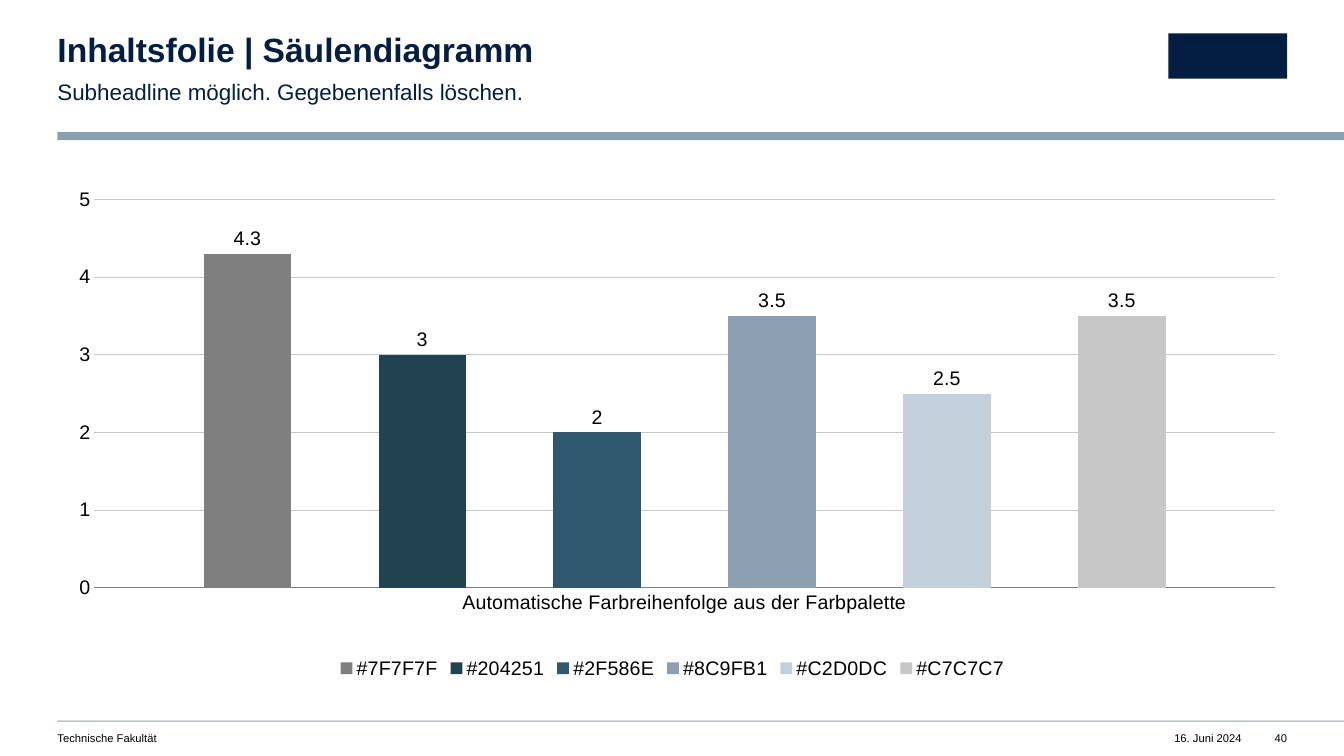
from dataclasses import dataclass

from lxml import etree
from pptx import Presentation
from pptx.chart.data import CategoryChartData
from pptx.dml.color import RGBColor
from pptx.enum.chart import (XL_CHART_TYPE, XL_LABEL_POSITION, XL_LEGEND_POSITION,
                             XL_TICK_MARK)
from pptx.enum.shapes import MSO_SHAPE
from pptx.enum.text import MSO_ANCHOR, MSO_AUTO_SIZE, PP_ALIGN
from pptx.oxml.ns import qn
from pptx.util import Inches, Pt

CLUSTERED = XL_CHART_TYPE.COLUMN_CLUSTERED
OUTSIDE_END = XL_LABEL_POSITION.OUTSIDE_END
LEGEND_BOTTOM = XL_LEGEND_POSITION.BOTTOM
NO_TICK = XL_TICK_MARK.NONE
RECTANGLE = MSO_SHAPE.RECTANGLE
TOP = MSO_ANCHOR.TOP
NO_AUTOFIT = MSO_AUTO_SIZE.NONE
LEFT, RIGHT = PP_ALIGN.LEFT, PP_ALIGN.RIGHT

NAVY = RGBColor(0x04, 0x1E, 0x42)
STEEL = RGBColor(0x8C, 0x9F, 0xB1)
GREY = RGBColor(0x7F, 0x7F, 0x7F)
PETROL = RGBColor(0x20, 0x42, 0x51)
BLUE = RGBColor(0x2F, 0x58, 0x6E)
ICE = RGBColor(0xC2, 0xD0, 0xDC)
SILVER = RGBColor(0xC7, 0xC7, 0xC7)
BLACK = RGBColor(0, 0, 0)

FONT = "Arial"
COLUMN = ROW = Inches(0.1)
COLUMNS, ROWS = 133.33, 75
MARGIN = 5.7
CONTENT = 122
RIGHT_EDGE = MARGIN + CONTENT


@dataclass(frozen=True)
class Box:
    col: float
    row: float
    cols: float
    rows: float

    def emu(self) -> tuple[int, int, int, int]:
        return (int(self.col * COLUMN), int(self.row * ROW),
                int(self.cols * COLUMN), int(self.rows * ROW))


@dataclass(frozen=True)
class Block:
    box: Box
    color: RGBColor


@dataclass(frozen=True)
class Label:
    text: str
    box: Box
    size: float = 8
    color: RGBColor = BLACK
    bold: bool = False
    align: PP_ALIGN = LEFT
    spacing: float = 1.0


@dataclass(frozen=True)
class Bar:
    color: RGBColor
    value: float


BLOCKS = [
    Block(Box(MARGIN, 13.1, COLUMNS - MARGIN, 0.8), STEEL),
    Block(Box(MARGIN, 71.5, COLUMNS - MARGIN, 0.1), STEEL),
    Block(Box(115.9, 3.3, 11.8, 4.5), NAVY),
]
TITLE = Label("Inhaltsfolie | Säulendiagramm", Box(MARGIN, 3.3, 74.9, 3.6),
              24, NAVY, True, spacing=0.9)
SUBTITLE = Label("Subheadline möglich. Gegebenenfalls löschen.",
                 Box(MARGIN, 7.5, 74.9, 2.7), 16, NAVY, spacing=1.1)
FOOTERS = [
    Label("Technische Fakultät", Box(MARGIN, 72.6, 59.8, 1.3)),
    Label("16. Juni 2024", Box(113.9, 72.6, 9.3, 1.3), align=RIGHT),
    Label("40", Box(RIGHT_EDGE - 2.1, 72.6, 2.1, 1.3), align=RIGHT),
]
CHART_BOX = Box(MARGIN, 17.8, CONTENT, 50)
CATEGORY = "Automatische Farbreihenfolge aus der Farbpalette"
BARS = [Bar(GREY, 4.3), Bar(PETROL, 3), Bar(BLUE, 2),
        Bar(STEEL, 3.5), Bar(ICE, 2.5), Bar(SILVER, 3.5)]
PLOT_LAYOUT = {"layoutTarget": "inner", "xMode": "edge", "yMode": "edge",
               "x": "0.03", "y": "0.04", "w": "0.96", "h": "0.77"}


def style_font(font, size: float, color: RGBColor, bold: bool = False) -> None:
    font.name = FONT
    font.size = Pt(size)
    font.bold = bold
    font.color.rgb = color


def draw_block(slide, block: Block) -> None:
    sp = slide.shapes.add_shape(RECTANGLE, *block.box.emu())
    sp.shadow.inherit = False
    sp.fill.solid()
    sp.fill.fore_color.rgb = block.color
    sp.line.fill.background()


def write_label(sp, label: Label) -> None:
    sp.left, sp.top, sp.width, sp.height = label.box.emu()
    tf = sp.text_frame
    tf.word_wrap = True
    tf.auto_size = NO_AUTOFIT
    tf.vertical_anchor = TOP
    tf.margin_left = tf.margin_top = tf.margin_right = tf.margin_bottom = 0
    p = tf.paragraphs[0]
    p.alignment = label.align
    p.line_spacing = label.spacing
    p.space_before = Pt(0)
    r = p.add_run()
    r.text = label.text
    style_font(r.font, label.size, label.color, label.bold)


def remove_bullet(sp) -> None:
    ppr = sp.text_frame.paragraphs[0]._p.get_or_add_pPr()
    ppr.set("marL", "0")
    ppr.set("indent", "0")
    etree.SubElement(ppr, qn("a:buNone"))


def place_plot(chart) -> None:
    area = chart.element.find(".//" + qn("c:plotArea"))
    for old in area.findall(qn("c:layout")):
        area.remove(old)
    layout = etree.Element(qn("c:layout"))
    manual = etree.SubElement(layout, qn("c:manualLayout"))
    for tag, val in PLOT_LAYOUT.items():
        etree.SubElement(manual, qn(f"c:{tag}")).set("val", val)
    area.insert(0, layout)


def style_axes(chart) -> None:
    for axis in (chart.category_axis, chart.value_axis):
        axis.major_tick_mark = axis.minor_tick_mark = NO_TICK
        style_font(axis.tick_labels.font, 14, BLACK)
    line = chart.category_axis.format.line
    line.color.rgb = GREY
    line.width = Pt(0.5)
    axis = chart.value_axis
    axis.minimum_scale, axis.maximum_scale, axis.major_unit = 0, 5, 1
    axis.format.line.fill.background()
    axis.has_major_gridlines = True
    grid = axis.major_gridlines.format.line
    grid.color.rgb = SILVER
    grid.width = Pt(0.5)


def draw_chart(slide) -> None:
    data = CategoryChartData()
    data.categories = [CATEGORY]
    for bar in BARS:
        data.add_series(f"#{bar.color}", [bar.value])
    chart = slide.shapes.add_chart(CLUSTERED, *CHART_BOX.emu(), data).chart
    chart.has_title = False
    style_font(chart.font, 14, BLACK)
    chart.has_legend = True
    chart.legend.position = LEGEND_BOTTOM
    chart.legend.include_in_layout = False
    style_font(chart.legend.font, 14, BLACK)
    style_axes(chart)
    plot = chart.plots[0]
    plot.vary_by_categories = False
    plot.gap_width, plot.overlap = 250, -100
    for series, bar in zip(plot.series, BARS):
        series.format.fill.solid()
        series.format.fill.fore_color.rgb = bar.color
        labels = series.data_labels
        labels.show_value = True
        labels.position = OUTSIDE_END
        style_font(labels.font, 14, BLACK)
    place_plot(chart)


def main() -> None:
    prs = Presentation()
    prs.slide_width = int(COLUMNS * COLUMN)
    prs.slide_height = int(ROWS * ROW)
    slide = prs.slides.add_slide(prs.slide_layouts[1])
    for block in BLOCKS:
        draw_block(slide, block)
    for footer in FOOTERS:
        write_label(slide.shapes.add_textbox(*footer.box.emu()), footer)
    draw_chart(slide)
    write_label(slide.shapes.title, TITLE)
    body = slide.placeholders[1]
    write_label(body, SUBTITLE)
    remove_bullet(body)
    prs.save("out.pptx")


if __name__ == "__main__":
    main()
